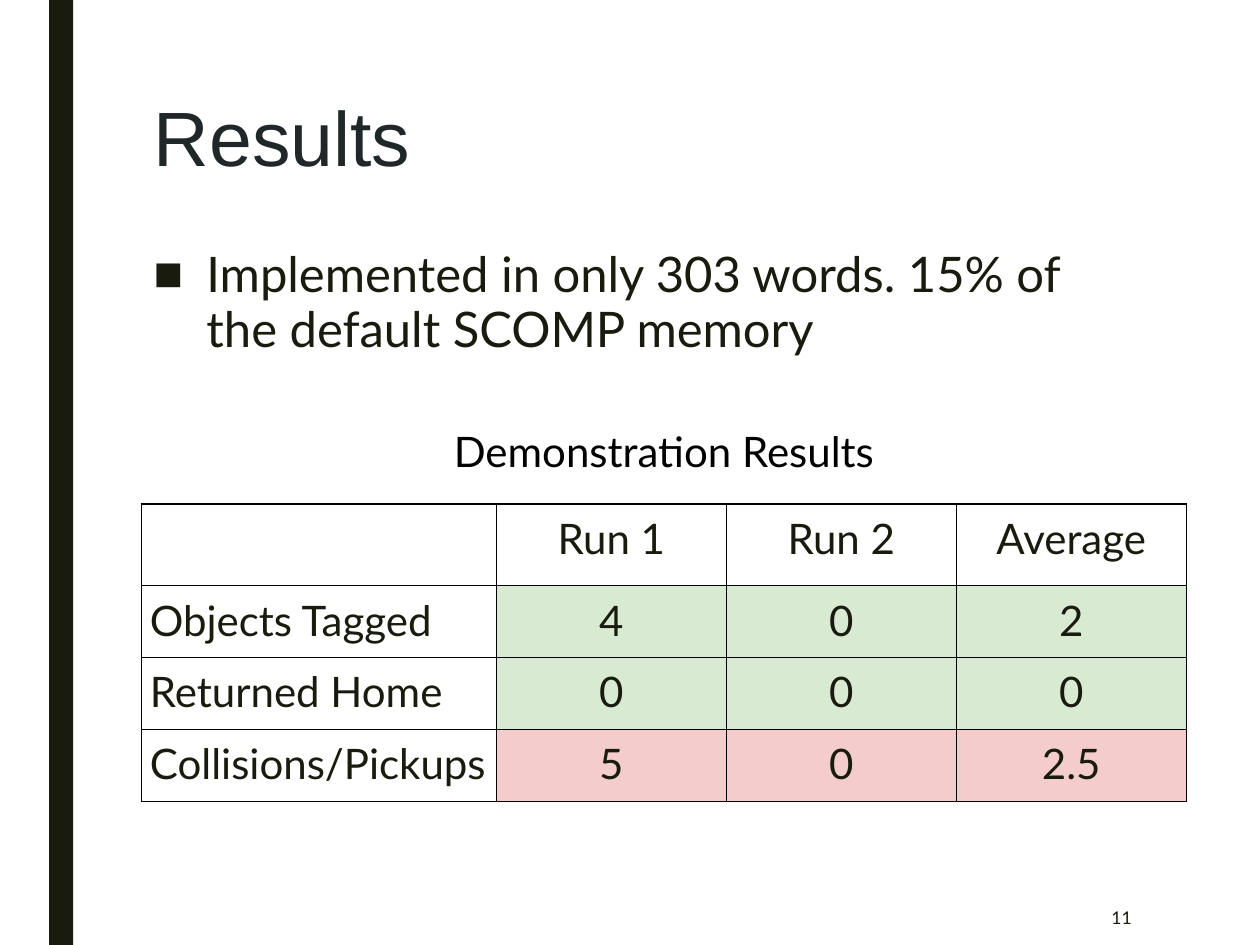
from lxml.etree import SubElement
from pptx import Presentation
from pptx.dml.color import RGBColor
from pptx.enum.shapes import MSO_SHAPE
from pptx.enum.text import MSO_ANCHOR, PP_ALIGN
from pptx.oxml.ns import qn
from pptx.util import Inches, Pt

COLORS = {
    "ink": "191B0E",
    "title": "202729",
    "black": "000000",
    "good": "D9EAD3",
    "bad": "F4CCCC",
}
UNIT = Inches(0.1)
COLS, ROWS = 100, 75
PAD = Inches(0.07)


def grid(*vals):
    return [round(val * UNIT) for val in vals]


def tint(name):
    return RGBColor.from_string(COLORS[name])


class Deck:
    def __init__(self):
        self.prs = Presentation()
        self.prs.slide_width, self.prs.slide_height = grid(COLS, ROWS)
        self.slide = self.prs.slides.add_slide(self.prs.slide_layouts[5])

    def style(self, para, size, color="ink", font="Lato", align=PP_ALIGN.LEFT):
        para.font.size = Pt(size)
        para.font.name = font
        para.font.color.rgb = tint(color)
        para.alignment = align

    def pad(self, item):
        item.margin_left = item.margin_right = PAD
        item.margin_top = item.margin_bottom = PAD

    def bar(self, *box):
        bar = self.slide.shapes.add_shape(MSO_SHAPE.RECTANGLE, *grid(*box))
        bar.shadow.inherit = False
        bar.fill.solid()
        bar.fill.fore_color.rgb = tint("ink")
        bar.line.fill.background()

    def title(self, text, *box):
        shape = self.slide.shapes.title
        shape.left, shape.top, shape.width, shape.height = grid(*box)
        frame = shape.text_frame
        frame.text = text
        frame.vertical_anchor = MSO_ANCHOR.TOP
        para = frame.paragraphs[0]
        para.line_spacing = 0.89
        self.style(para, 44, "title", "Arial")

    def text(self, text, box, size, color="ink", align=PP_ALIGN.LEFT,
             anchor=MSO_ANCHOR.TOP):
        frame = self.slide.shapes.add_textbox(*grid(*box)).text_frame
        frame.word_wrap = True
        frame.vertical_anchor = anchor
        frame.text = text
        self.style(frame.paragraphs[0], size, color, align=align)
        return frame

    def bullet(self, text, *box):
        para = self.text(text, box, 28).paragraphs[0]
        para.line_spacing = 0.94
        para.space_before, para.space_after = Pt(10), Pt(12)
        props = para._p.get_or_add_pPr()
        props.set("marL", str(Inches(0.42)))
        props.set("indent", str(-Inches(0.42)))
        SubElement(props, qn("a:buFont"), typeface="Arial")
        SubElement(props, qn("a:buChar"), char="■")

    def border(self, cell):
        props = cell._tc.get_or_add_tcPr()
        for i, side in enumerate(("lnL", "lnR", "lnT", "lnB")):
            line = props.makeelement(qn(f"a:{side}"), {"w": str(Pt(0.75))})
            fill = SubElement(line, qn("a:solidFill"))
            SubElement(fill, qn("a:srgbClr"), val=COLORS["black"])
            props.insert(i, line)

    def table(self, data, fills, left, top, wides, highs):
        box = grid(left, top, sum(wides), sum(highs))
        table = self.slide.shapes.add_table(
            len(highs), len(wides), *box).table
        table.first_row = table.horz_banding = False
        for col, wide in zip(table.columns, grid(*wides)):
            col.width = wide
        for row, high, vals, fill in zip(table.rows, grid(*highs), data, fills):
            row.height = high
            for i, (cell, val) in enumerate(zip(row.cells, vals)):
                self.pad(cell)
                cell.text = val
                align = PP_ALIGN.CENTER if i else PP_ALIGN.LEFT
                self.style(cell.text_frame.paragraphs[0], 24, align=align)
                if i and fill:
                    cell.fill.solid()
                    cell.fill.fore_color.rgb = tint(fill)
                else:
                    cell.fill.background()
                self.border(cell)


def main():
    deck = Deck()
    deck.bar(3.9, 0, 1.9, ROWS)
    deck.title("Results", 11.2, 7.5, 78.8, 9)
    deck.bullet(
        "Implemented in only 303 words. 15% of the default SCOMP memory",
        11.2, 19.2, 79.5, 39.2)
    data = [
        ("", "Run 1", "Run 2", "Average"),
        ("Objects Tagged", "4", "0", "2"),
        ("Returned Home", "0", "0", "0"),
        ("Collisions/Pickups", "5", "0", "2.5"),
    ]
    fills = (None, "good", "good", "bad")
    deck.table(data, fills, 11.2, 40, [28.2] + [18.25] * 3, [6.5] + [5.7] * 3)
    label = deck.text("Demonstration Results", (34.5, 33.1, 36.4, 5.3), 24,
                      "black", PP_ALIGN.CENTER)
    deck.pad(label)
    deck.text("11", (77.7, 70.6, 13.1, 4.4), 10, align=PP_ALIGN.RIGHT,
              anchor=MSO_ANCHOR.MIDDLE)
    deck.prs.save("out.pptx")


if __name__ == "__main__":
    main()
